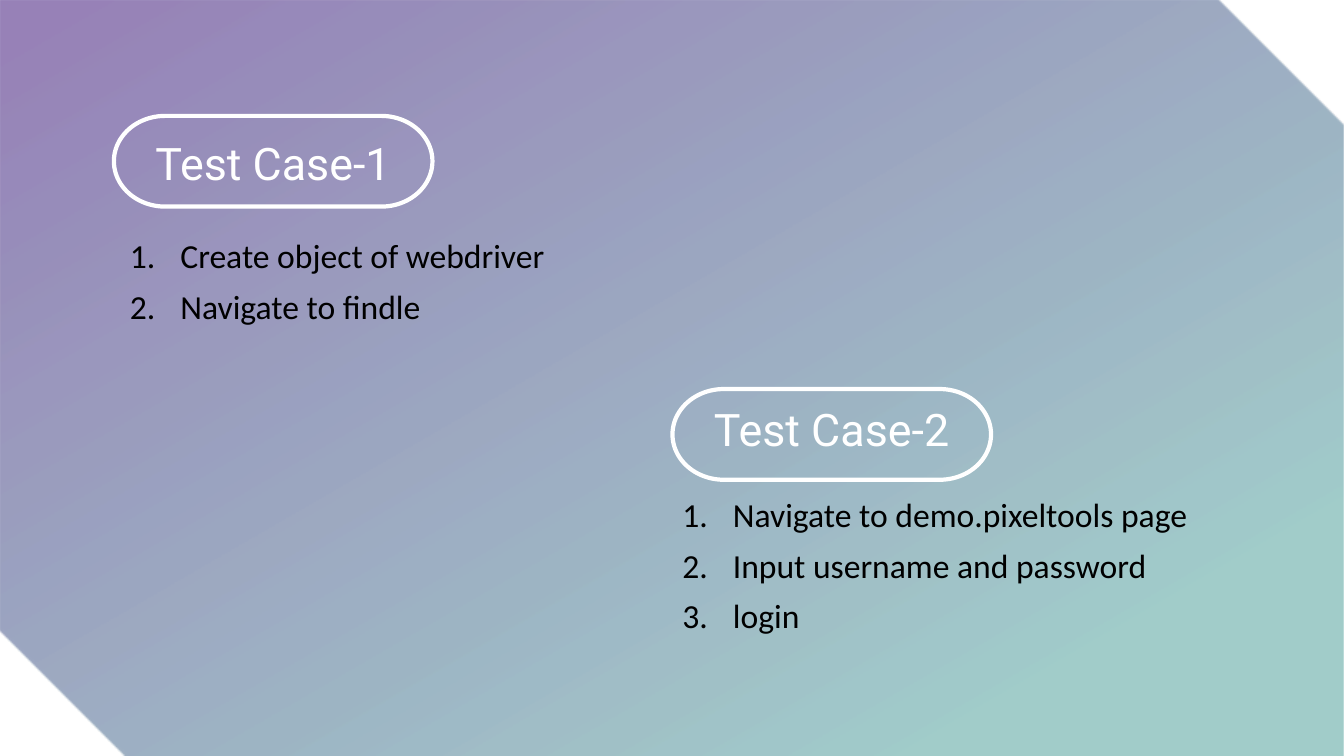
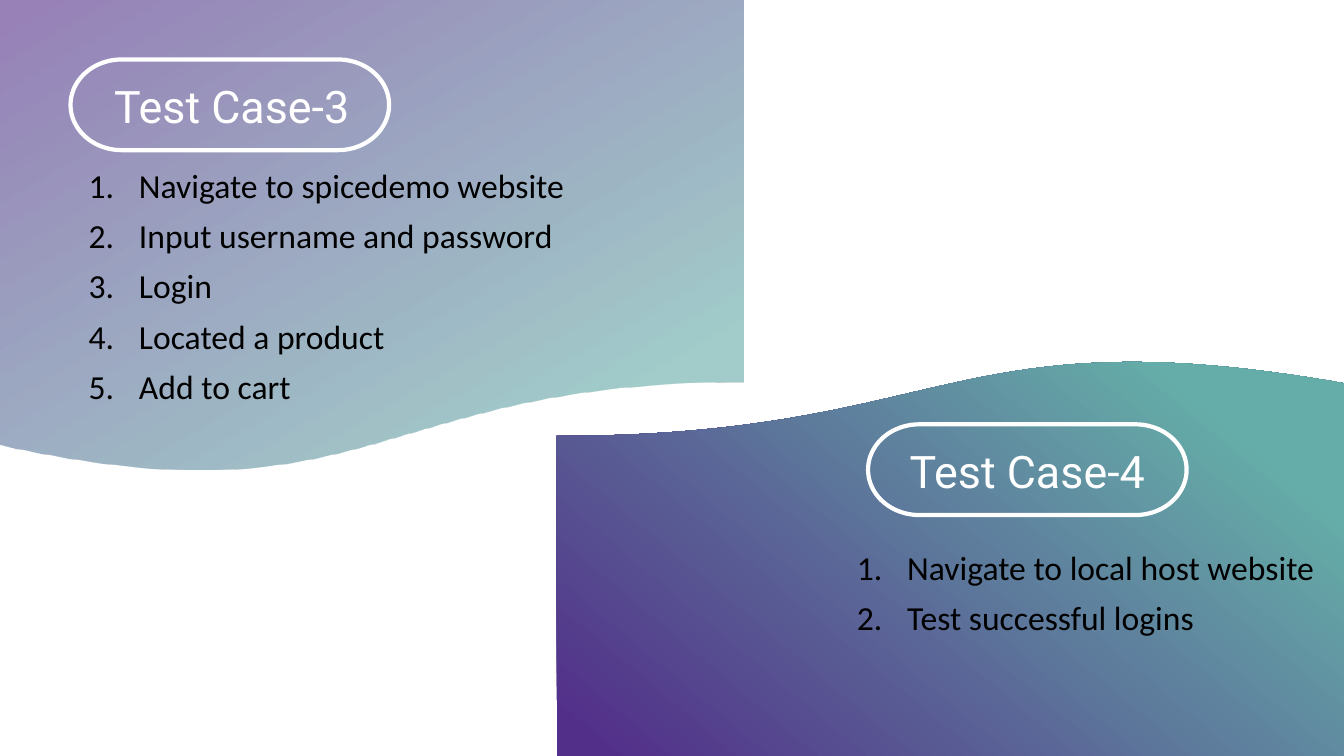
"""Builds two slides of numbered test cases on gradient panels."""
from dataclasses import dataclass

from lxml.etree import SubElement
from pptx import Presentation
from pptx.dml.color import RGBColor
from pptx.enum.shapes import MSO_SHAPE as Preset
from pptx.enum.text import MSO_AUTO_SIZE as AutoSize, PP_ALIGN as Align
from pptx.oxml.ns import qn
from pptx.slide import Slide
from pptx.util import Inches, Pt

COLORS = {"purple": "523089", "teal": "65ADA8", "white": "FFFFFF", "black": "000000"}
STOPS = ((0.04, "purple"), (0.85, "teal"))
BADGE_SIZE = (3.16, 0.9)
LABEL_SIZE = (2.84, 0.64)
STEPS_HEIGHT = 1.86
STEP_INDENT = Inches(0.5)
LABEL_FONT = {"name": "Roboto", "size": Pt(32)}
STEP_FONT = {"name": "Calibri", "size": Pt(24)}
LABEL_PARAGRAPH = {"alignment": Align.CENTER}
STEP_PARAGRAPH = {"line_spacing": 0.9, "space_before": Pt(10)}


@dataclass(frozen=True)
class Panel:
    """A gradient backdrop, with its angle measured clockwise."""
    preset: Preset
    box: tuple[float, float, float, float]
    angle: float
    opacity: int = 100
    rotation: float = 0


@dataclass(frozen=True)
class TestCase:
    """A badge with a label and the steps below it."""
    label: str
    badge_at: tuple[float, float]
    label_at: tuple[float, float]
    steps_at: tuple[float, float]
    steps_width: float
    steps: tuple[str, ...]


SLIDES = (
    (
        (Panel(Preset.SNIP_2_DIAG_RECTANGLE, (0, 0, 13.33, 7.5), 60, 60),),
        (
            TestCase("Test Case-1", (1.13, 1.15), (1.29, 1.3), (1.19, 2.33), 8.49,
                     ("Create object of webdriver", "Navigate to findle")),
            TestCase("Test Case-2", (6.67, 3.86), (6.83, 3.94), (6.67, 4.9), 5.31,
                     ("Navigate to demo.pixeltools page", "Input username and password",
                      "login")),
        ),
    ),
    (
        (
            Panel(Preset.FLOWCHART_DOCUMENT, (0, 0, 7.37, 4.72), 60, 60),
            Panel(Preset.FLOWCHART_DOCUMENT, (5.52, 3.54, 7.81, 3.96), 130, rotation=180),
        ),
        (
            TestCase("Test Case-3", (0.7, 0.59), (0.88, 0.73), (0.78, 1.63), 8.49,
                     ("Navigate to spicedemo website", "Input username and password",
                      "Login", "Located a product", "Add to cart")),
            TestCase("Test Case-4", (8.61, 4.21), (8.77, 4.35), (8.4, 5.42), 4.93,
                     ("Navigate to local host website", "Test successful logins")),
        ),
    ),
)


def rgb(name: str) -> RGBColor:
    """Return a named colour of the deck."""
    return RGBColor.from_string(COLORS[name])


def apply_format(target: object, values: dict) -> None:
    """Set every format value on the target."""
    for attribute, value in values.items():
        setattr(target, attribute, value)


def draw_panel(slide: Slide, panel: Panel) -> None:
    """Draw a gradient backdrop."""
    backdrop = slide.shapes.add_shape(panel.preset, *map(Inches, panel.box))
    backdrop.shadow.inherit = False
    backdrop.rotation = panel.rotation
    backdrop.line.fill.background()
    backdrop.fill.gradient()
    backdrop.fill.gradient_angle = 360 - panel.angle
    for stop, (position, color) in zip(backdrop.fill.gradient_stops, STOPS):
        stop.position = position
        stop.color.rgb = rgb(color)
    if panel.opacity < 100:
        for color_element in backdrop.element.spPr.iter(qn("a:srgbClr")):
            SubElement(color_element, qn("a:alpha"), val=str(panel.opacity * 1000))


def draw_text(slide: Slide, box: tuple[float, ...], lines: tuple[str, ...], font: dict,
              color: str, paragraph_format: dict, auto_size: AutoSize,
              numbered: bool = False) -> None:
    """Write lines in a text box, numbered if asked."""
    frame = slide.shapes.add_textbox(*map(Inches, box)).text_frame
    frame.word_wrap = True
    frame.auto_size = auto_size
    frame.text = "\n".join(lines)
    for paragraph in frame.paragraphs:
        apply_format(paragraph, paragraph_format)
        run_font = paragraph.runs[0].font
        apply_format(run_font, font)
        run_font.color.rgb = rgb(color)
        if numbered:
            properties = paragraph._p.get_or_add_pPr()
            properties.set("marL", str(STEP_INDENT))
            properties.set("indent", str(-STEP_INDENT))
            SubElement(properties, qn("a:buFont"), typeface="+mj-lt")
            SubElement(properties, qn("a:buAutoNum"), type="arabicPeriod")


def draw_case(slide: Slide, case: TestCase) -> None:
    """Draw the badge, label and steps of a test case."""
    badge = slide.shapes.add_shape(
        Preset.FLOWCHART_TERMINATOR, *map(Inches, case.badge_at + BADGE_SIZE))
    badge.shadow.inherit = False
    badge.fill.background()
    badge.line.color.rgb = rgb("white")
    badge.line.width = Pt(3)
    draw_text(slide, case.label_at + LABEL_SIZE, (case.label,), LABEL_FONT, "white",
              LABEL_PARAGRAPH, AutoSize.SHAPE_TO_FIT_TEXT)
    draw_text(slide, case.steps_at + (case.steps_width, STEPS_HEIGHT), case.steps,
              STEP_FONT, "black", STEP_PARAGRAPH, AutoSize.NONE, numbered=True)


def main() -> None:
    """Build and save the deck."""
    deck = Presentation()
    deck.slide_width, deck.slide_height = Inches(13.33), Inches(7.5)
    for panels, cases in SLIDES:
        slide = deck.slides.add_slide(deck.slide_layouts[6])
        for panel in panels:
            draw_panel(slide, panel)
        for case in cases:
            draw_case(slide, case)
    deck.save("out.pptx")


if __name__ == "__main__":
    main()
